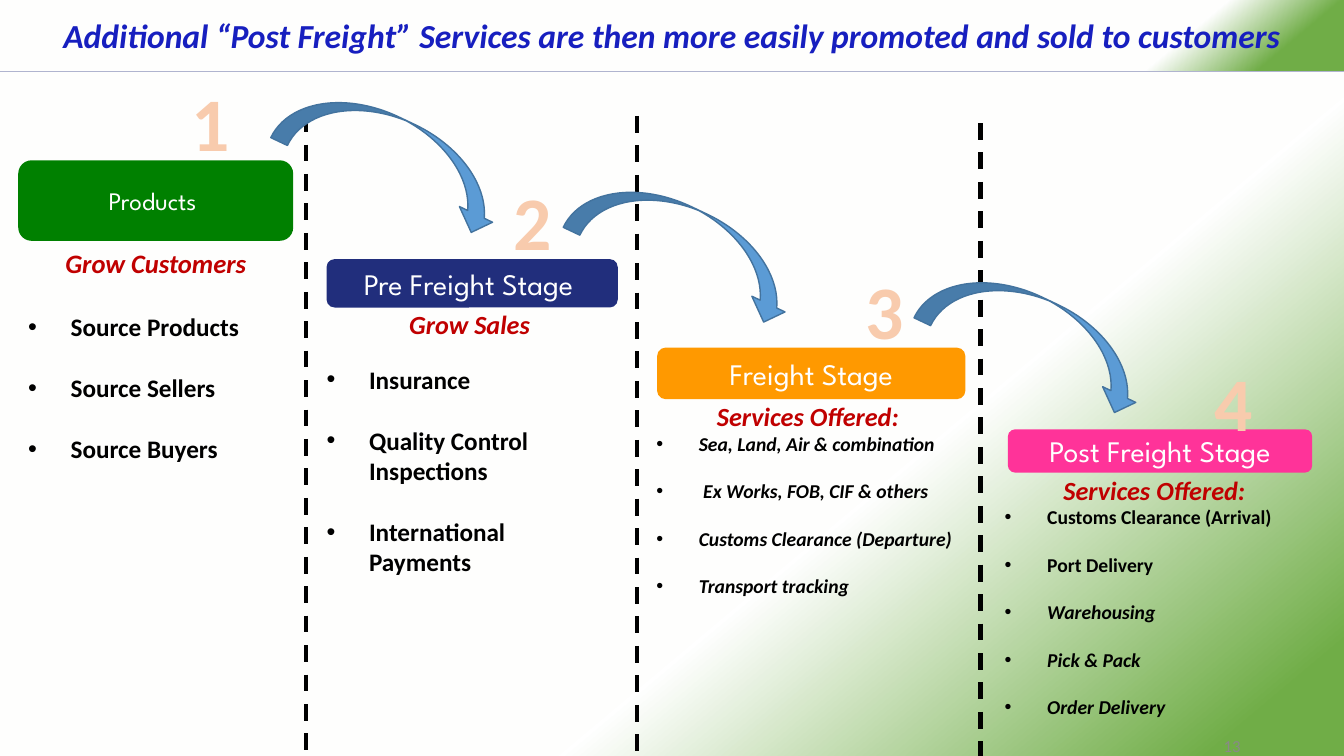
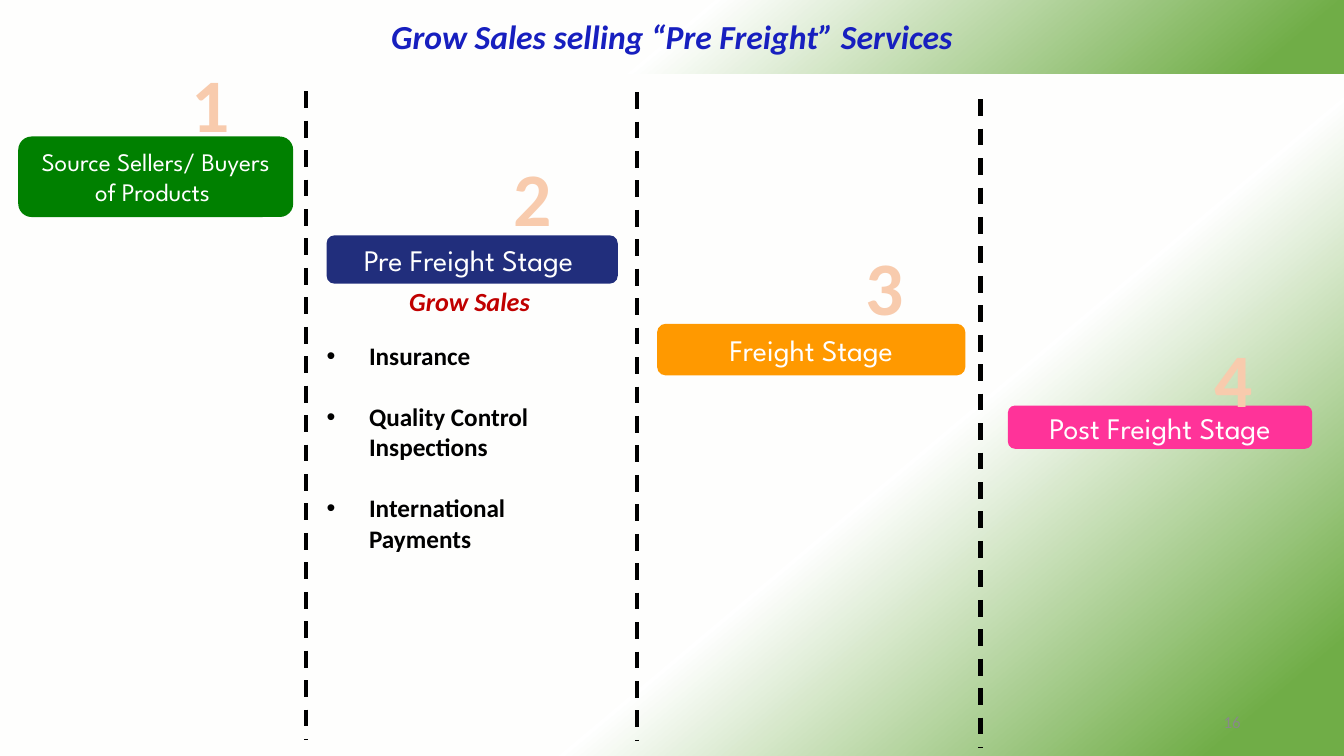
from dataclasses import dataclass, replace

from lxml import etree
from pptx import Presentation
from pptx import util as u
from pptx.dml.color import RGBColor
from pptx.enum import dml, shapes, text
from pptx.oxml.ns import qn

COLORS = {
    "navy": "212E7C", "title": "171FBF", "green": "008000", "orange": "FF9900",
    "pink": "FF3399", "heading": "C00000", "black": "000000", "white": "FFFFFF",
    "number": "F8CBAD", "arrow": "5B9BD5", "arrow_line": "43739E",
    "page": "898989", "paper": "FEFEFD", "leaf": "70AD47",
}
BODY_FONT, LABEL_FONT = "Calibri", "League Spartan"
WIDTH, HEIGHT = 33.87, 19.05
INDENT = 1.07
LINE_HEIGHT = 1.22
ARROW_SIZE = (6.05, 1.85)
DIVIDERS = ((7.72, 2.9), (16.05, 2.92), (24.71, 3.1))
DIVIDER_LENGTH = 16.34


@dataclass(frozen=True)
class Services:
    left: float
    top: float
    height: float
    heading: str
    items: tuple[str, ...]
    size: float
    heading_size: float = 18.7
    first_gap: float = 0
    inset: float = 0
    upright: int = 0  # how many leading items are not italic


@dataclass(frozen=True)
class Stage:
    number: str
    label: str
    color: str
    box: tuple[float, float, float, float]
    number_at: tuple[float, float]
    services: Services
    label_size: float = 21.3
    arrow_at: tuple[float, float] | None = None


@dataclass(frozen=True)
class Page:
    title: str
    number: str
    layout: int
    title_height: float
    white_stop: int
    stages: tuple[Stage, ...]
    listed: tuple[str, ...]  # numbers of the stages whose services show
    shift: float = 0
    arrows: bool = False


STAGES = (
    Stage("1", "Products ", "green", (0.46, 4.04, 6.93, 2.03), (4.57, 1.8),
          Services(0.46, 6.1, 6.32, "Grow Customers",
                   ("Source Products", "Source Sellers", "Source Buyers"),
                   18, heading_size=19, first_gap=19, inset=0.25, upright=3),
          label_size=18, arrow_at=(6.93, 3.0)),
    Stage("2", "Pre Freight Stage ", "navy", (8.23, 6.53, 7.34, 1.22), (12.67, 4.29),
          Services(8.23, 7.65, 6.86, "Grow Sales",
                   ("Insurance", "Quality Control Inspections", "International Payments"),
                   18, first_gap=14, upright=3),
          arrow_at=(14.3, 5.26)),
    Stage("3", "Freight Stage", "orange", (16.56, 8.76, 7.77, 1.3), (21.54, 6.53),
          Services(16.54, 9.96, 5.84, "Services Offered:",
                   ("Sea, Land, Air & combination", " Ex Works, FOB, CIF & others",
                    "Customs Clearance (Departure)", "Transport tracking"), 14),
          arrow_at=(23.14, 7.54)),
    Stage("4", "Post Freight Stage", "pink", (25.4, 10.82, 7.67, 1.09), (30.33, 8.84),
          Services(25.32, 11.81, 7.04, "Services Offered:",
                   ("Customs Clearance (Arrival)", "Port Delivery", "Warehousing",
                    "Pick & Pack", "Order Delivery"), 14, upright=2)),
)
SOURCING = replace(STAGES[0], label="Source Sellers/ Buyers of Products ",
                   number_at=(4.57, 1.92))

PAGES = (
    Page("Additional “Post Freight” Services are then more easily promoted and sold to customers",
         "13", 4, 1.83, 86, STAGES, ("1", "2", "3", "4"), arrows=True),
    Page("Grow Sales selling “Pre Freight” Services",
         "16", 1, 1.9, 50, (SOURCING, *STAGES[1:]), ("2",), shift=-0.6),
)


def rgb(name: str) -> RGBColor:
    return RGBColor.from_string(COLORS[name])


def place(sp, left: float, top: float, width: float, height: float) -> None:
    sp.left, sp.top, sp.width, sp.height = map(u.Cm, (left, top, width, height))


def add_run(p, words: str, size: float, color: str, font: str = BODY_FONT,
            bold: bool = False, italic: bool = False) -> None:
    r = p.add_run()
    r.text = words
    r.font.size, r.font.name = u.Pt(size), font
    r.font.bold, r.font.italic = bold, italic
    r.font.color.rgb = rgb(color)


def set_gradient(fill, element, white_stop: int) -> None:
    """Give the first gradient in element the three stops of the theme."""
    fill.gradient()
    grad = next(element.iter(qn("a:gradFill")))
    for child in list(grad):
        grad.remove(child)
    stops = etree.SubElement(grad, qn("a:gsLst"))
    for percent, name in ((18, "paper"), (white_stop, "white"), (94, "leaf")):
        gs = etree.SubElement(stops, qn("a:gs"), pos=str(percent * 1000))
        etree.SubElement(gs, qn("a:srgbClr"), val=COLORS[name])
    etree.SubElement(grad, qn("a:lin"), ang=str(50 * 60000), scaled="0")


def add_filled(s, kind, box: tuple[float, float, float, float], color: str):
    sp = s.shapes.add_shape(kind, *map(u.Cm, box))
    sp.shadow.inherit = False
    sp.fill.solid()
    sp.fill.fore_color.rgb = rgb(color)
    sp.line.fill.background()
    return sp


def add_title(s, page: Page) -> None:
    band = add_filled(s, shapes.MSO_SHAPE.RECTANGLE, (0, 0, WIDTH, 1.8), "navy")
    title = s.shapes.title
    title._element.addprevious(band._element)
    place(title, 0, -0.04, WIDTH, page.title_height)
    set_gradient(title.fill, title._element, page.white_stop)
    tf = title.text_frame
    tf.auto_size = text.MSO_AUTO_SIZE.NONE
    tf.vertical_anchor = text.MSO_ANCHOR.MIDDLE
    p = tf.paragraphs[0]
    p.alignment = text.PP_ALIGN.CENTER
    add_run(p, page.title, 24, "title", bold=True, italic=True)


def add_divider(s, x: float, top: float) -> None:
    line = s.shapes.add_connector(shapes.MSO_CONNECTOR.STRAIGHT, u.Cm(x), u.Cm(top),
                                  u.Cm(x), u.Cm(top + DIVIDER_LENGTH))
    line.line.color.rgb = rgb("black")
    line.line.width = u.Pt(3)
    line.line.dash_style = dml.MSO_LINE.DASH
    etree.SubElement(line._element.spPr, qn("a:effectLst"))


def set_bullet(p, char: str | None) -> None:
    pPr = p._p.get_or_add_pPr()
    indent = u.Cm(INDENT) if char else 0
    pPr.set("marL", str(indent))
    pPr.set("indent", str(-indent))
    if char:
        etree.SubElement(pPr, qn("a:buFont"), typeface="Arial")
        etree.SubElement(pPr, qn("a:buChar"), char=char)
    else:
        etree.SubElement(pPr, qn("a:buNone"))


def fill_services(body, services: Services, width: float, shift: float) -> None:
    place(body, services.left, services.top + shift, width, services.height)
    tf = body.text_frame
    tf.auto_size = text.MSO_AUTO_SIZE.NONE
    tf.word_wrap = True
    tf.vertical_anchor = text.MSO_ANCHOR.TOP
    tf.margin_left = u.Cm(services.inset)
    tf.margin_right = u.Cm(services.inset or 0.13)
    tf.margin_top = tf.margin_bottom = u.Cm(0.13)
    p = tf.paragraphs[0]
    p.alignment = text.PP_ALIGN.CENTER
    p.space_before = u.Pt(0)
    set_bullet(p, None)
    add_run(p, services.heading, services.heading_size, "heading", bold=True, italic=True)
    for i, item in enumerate(services.items):
        p = tf.add_paragraph()
        p.alignment = text.PP_ALIGN.LEFT
        gap = services.size if i else services.first_gap
        p.space_before = u.Pt(round(gap * LINE_HEIGHT, 1))
        set_bullet(p, "•")
        add_run(p, item, services.size, "black", bold=True, italic=i >= services.upright)


def add_stage_box(s, stage: Stage, shift: float) -> None:
    left, top, width, height = stage.box
    sp = add_filled(s, shapes.MSO_SHAPE.ROUNDED_RECTANGLE,
                    (left, top + shift, width, height), stage.color)
    tf = sp.text_frame
    tf.word_wrap = True
    tf.vertical_anchor = text.MSO_ANCHOR.MIDDLE
    p = tf.paragraphs[0]
    p.alignment = text.PP_ALIGN.CENTER
    add_run(p, stage.label, stage.label_size, "white", LABEL_FONT)


def add_caption(s, box: tuple[float, float, float, float], words: str, size: float,
                color: str, bold: bool = False) -> None:
    tf = s.shapes.add_textbox(*map(u.Cm, box)).text_frame
    tf.word_wrap = False
    p = tf.paragraphs[0]
    p.alignment = text.PP_ALIGN.CENTER
    add_run(p, words, size, color, bold=bold)


def add_arrow(s, left: float, top: float) -> None:
    sp = add_filled(s, shapes.MSO_SHAPE.CURVED_UP_ARROW, (left, top, *ARROW_SIZE), "arrow")
    sp.line.color.rgb = rgb("arrow_line")
    sp.line.width = u.Pt(1)
    sp.rotation = 205.3
    sp._element.spPr.find(qn("a:xfrm")).set("flipH", "1")


def build_page(prs, page: Page) -> None:
    s = prs.slides.add_slide(prs.slide_layouts[page.layout])
    add_title(s, page)
    bodies = iter([ph for ph in s.placeholders if ph.placeholder_format.idx])
    for x, top in DIVIDERS:
        add_divider(s, x, top + page.shift)
    for stage in page.stages:
        add_stage_box(s, stage, page.shift)
        if stage.number in page.listed:
            fill_services(next(bodies), stage.services, stage.box[2], page.shift)
    for stage in page.stages:
        left, top = stage.number_at
        add_caption(s, (left, top + page.shift, 1.5, 2.57), stage.number, 54, "number", True)
        if page.arrows and stage.arrow_at:
            add_arrow(s, *stage.arrow_at)
    add_caption(s, (30.3, 18.42 + page.shift, 1.5, 0.75), page.number, 12, "page")


def main() -> None:
    prs = Presentation()
    prs.slide_width, prs.slide_height = u.Cm(WIDTH), u.Cm(HEIGHT)
    master = prs.slide_master
    set_gradient(master.background.fill, master._element, 65)
    for page in PAGES:
        build_page(prs, page)
    prs.save("out.pptx")


if __name__ == "__main__":
    main()
